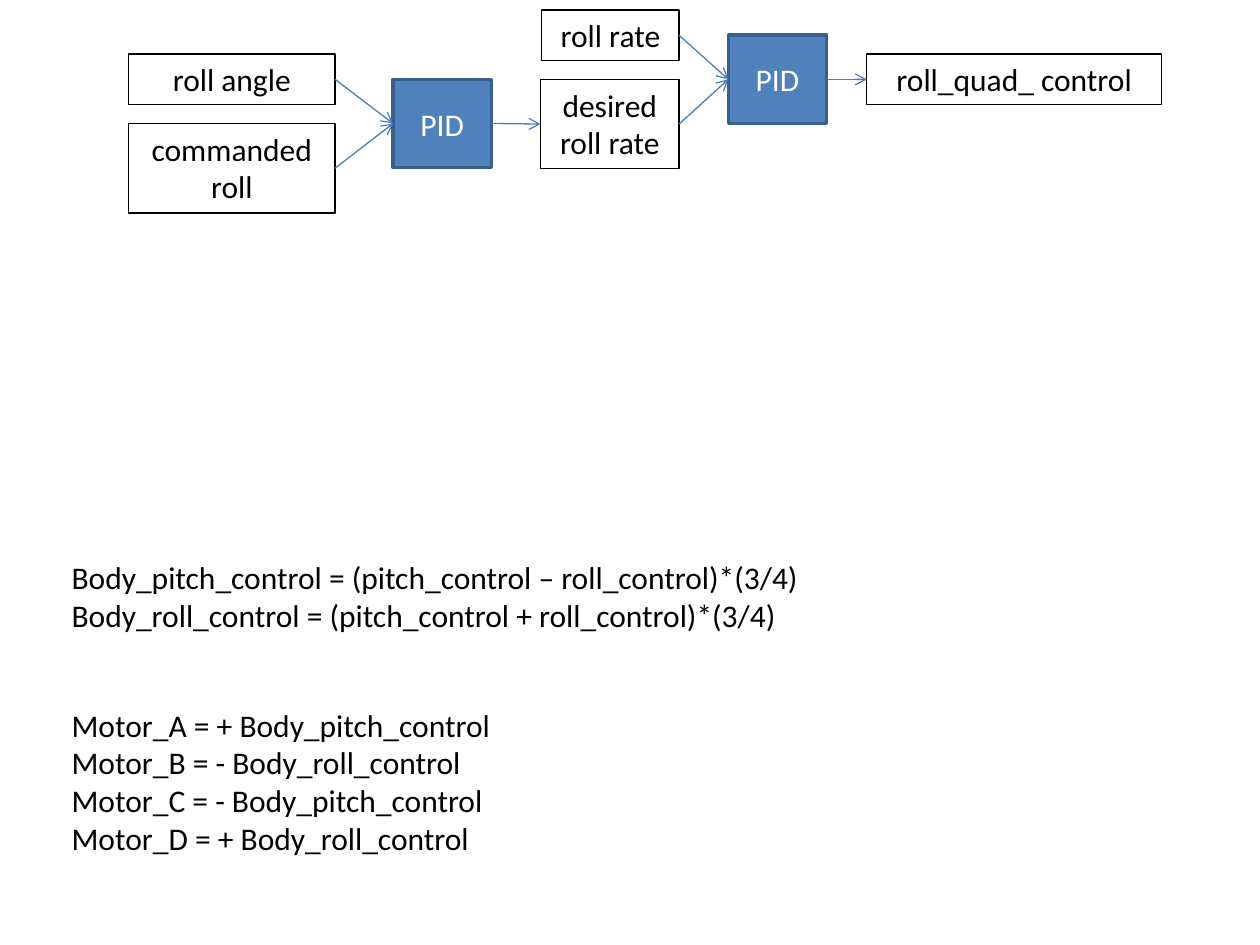
import dataclasses

import pptx
import pptx.dml.color
import pptx.enum.shapes
import pptx.enum.text
import pptx.oxml
import pptx.oxml.ns
import pptx.util
from pptx.util import Inches

Anchor = pptx.enum.text.MSO_ANCHOR
Align = pptx.enum.text.PP_ALIGN
AutoSize = pptx.enum.text.MSO_AUTO_SIZE
LEFT_SITE, RIGHT_SITE = 1, 3


@dataclasses.dataclass(frozen=True)
class Theme:
    font: str = "Calibri"
    text_size: int = 18
    text: str = "000000"
    block_text: str = "FFFFFF"
    block_fill: str = "4F81BD"
    block_line: str = "3A5F8C"
    arrow: str = "4B7EBC"
    thin: float = 0.75
    thick: float = 2


THEME = Theme()


def color(value):
    return pptx.dml.color.RGBColor.from_string(value)


def apply(target, formats):
    for name, value in formats.items():
        setattr(target, name, value)


def write_text(shape, lines, text_color, alignment, frame_format):
    """Put one paragraph per line into the shape."""
    frame = shape.text_frame
    apply(frame, {"word_wrap": True, **frame_format})
    frame.text = "\n".join(lines)
    for paragraph in frame.paragraphs:
        paragraph.alignment = alignment
        apply(paragraph.font, {"name": THEME.font, "size": pptx.util.Pt(THEME.text_size)})
        paragraph.font.color.rgb = color(text_color)


def add_box(slide, left, top, width, height, line_color, line_width):
    shape = slide.shapes.add_shape(
        pptx.enum.shapes.MSO_SHAPE.RECTANGLE,
        Inches(left), Inches(top), Inches(width), Inches(height))
    shape.shadow.inherit = False
    shape.line.color.rgb = color(line_color)
    shape.line.width = pptx.util.Pt(line_width)
    return shape


def add_signal(slide, left, top, width, lines, height=0.4):
    """Outlined box that names a signal."""
    shape = add_box(slide, left, top, width, height, THEME.text, THEME.thin)
    shape.fill.background()
    write_text(shape, lines, THEME.text, Align.CENTER,
               {"vertical_anchor": Anchor.TOP, "auto_size": AutoSize.SHAPE_TO_FIT_TEXT})
    return shape


def add_controller(slide, left, top):
    """Filled PID block."""
    shape = add_box(slide, left, top, 0.78, 0.7, THEME.block_line, THEME.thick)
    shape.fill.solid()
    shape.fill.fore_color.rgb = color(THEME.block_fill)
    write_text(shape, ["PID"], THEME.block_text, Align.CENTER,
               {"vertical_anchor": Anchor.MIDDLE})
    return shape


def add_arrow(slide, source, target):
    """Arrow from the right side of one box to the left side of another."""
    connector = slide.shapes.add_connector(
        pptx.enum.shapes.MSO_CONNECTOR.STRAIGHT, 0, 0, 0, 0)
    connector.begin_connect(source, RIGHT_SITE)
    connector.end_connect(target, LEFT_SITE)
    connector.line.color.rgb = color(THEME.arrow)
    connector.line.width = pptx.util.Pt(THEME.thin)
    namespace = pptx.oxml.ns.nsdecls("a")
    connector.line._get_or_add_ln().append(
        pptx.oxml.parse_xml(f'<a:tailEnd {namespace} type="arrow"/>'))
    connector._element.spPr.append(pptx.oxml.parse_xml(f"<a:effectLst {namespace}/>"))


def add_equations(slide, top, width, height, lines):
    shape = slide.shapes.add_textbox(
        Inches(0.47), Inches(top), Inches(width), Inches(height))
    write_text(shape, lines, THEME.text, Align.LEFT, {"vertical_anchor": Anchor.TOP})


def main():
    presentation = pptx.Presentation()
    apply(presentation, {"slide_width": Inches(10), "slide_height": Inches(7.5)})
    slide = presentation.slides.add_slide(presentation.slide_layouts[6])

    # Angle loop
    roll_angle = add_signal(slide, 1.02, 0.43, 1.64, ["roll angle"])
    commanded_roll = add_signal(slide, 1.02, 0.98, 1.64, ["commanded", "roll"], 0.71)
    angle_pid = add_controller(slide, 3.12, 0.63)

    # Rate loop
    roll_rate = add_signal(slide, 4.3, 0.08, 1.09, ["roll rate"])
    desired_rate = add_signal(slide, 4.29, 0.63, 1.1, ["desired roll rate"], 0.71)
    rate_pid = add_controller(slide, 5.78, 0.28)
    roll_control = add_signal(slide, 6.88, 0.43, 2.34, ["roll_quad_ control"])

    # Signal flow
    for source, target in (
        (roll_angle, angle_pid),
        (commanded_roll, angle_pid),
        (angle_pid, desired_rate),
        (roll_rate, rate_pid),
        (desired_rate, rate_pid),
        (rate_pid, roll_control),
    ):
        add_arrow(slide, source, target)

    # Mixing equations
    add_equations(slide, 4.38, 7.03, 1.01, [
        "Body_pitch_control = (pitch_control – roll_control)*(3/4)",
        "Body_roll_control = (pitch_control + roll_control)*(3/4)",
    ])
    add_equations(slide, 5.55, 3.83, 1.62, [
        "Motor_A = + Body_pitch_control",
        "Motor_B = - Body_roll_control",
        "Motor_C = - Body_pitch_control",
        "Motor_D = + Body_roll_control",
    ])

    presentation.save("out.pptx")


if __name__ == "__main__":
    main()
